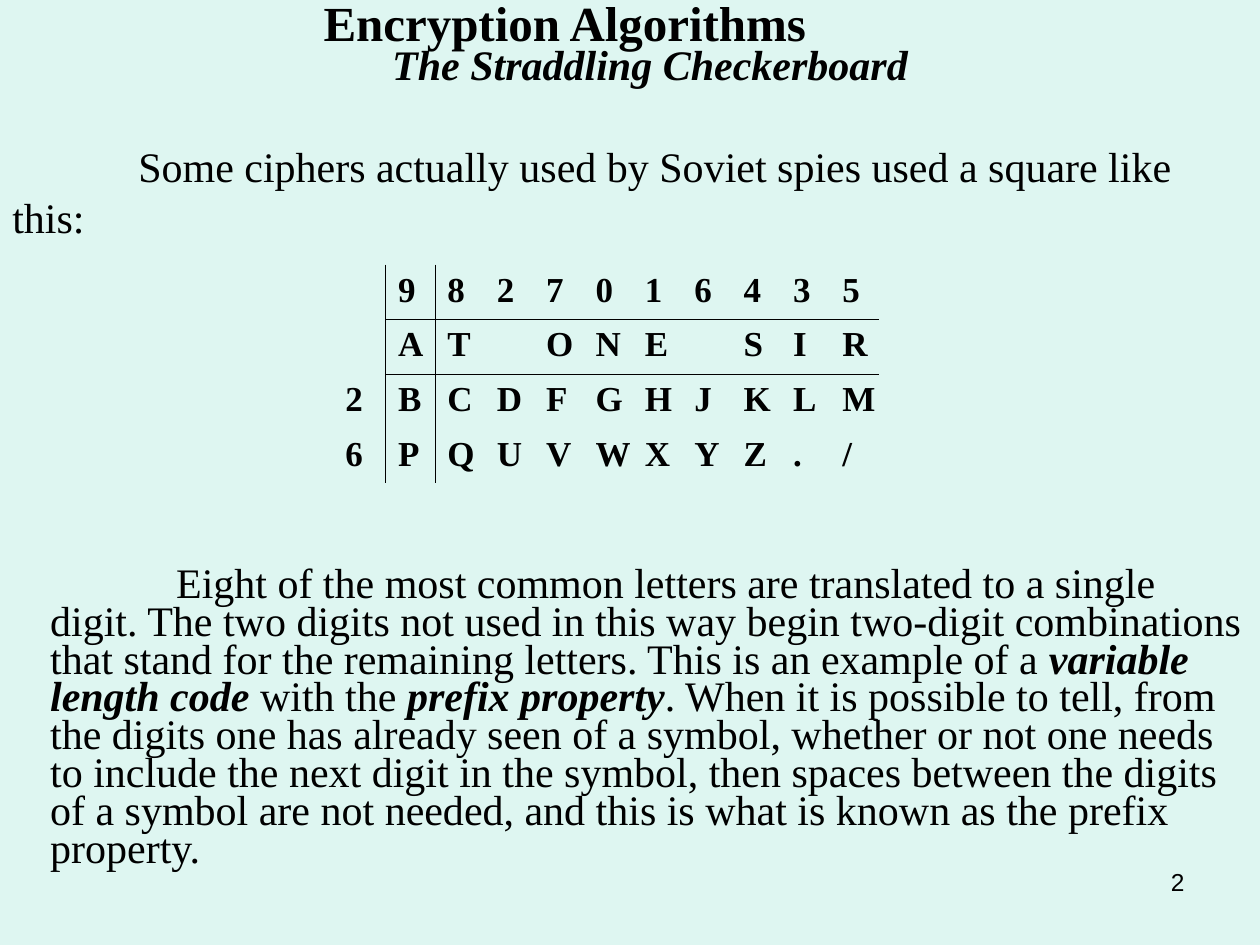
from pptx import Presentation
from pptx.dml.color import RGBColor
from pptx.enum.text import PP_ALIGN
from pptx.oxml import parse_xml
from pptx.oxml.ns import nsdecls, qn
from pptx.util import Inches, Pt

COLORS = {"background": "DEF6F1", "ink": "000000"}
SERIF, SANS = "Times New Roman", "Arial"
PLAIN_TABLE = "{2D5ABB26-0587-4C30-8999-92F81FD0307C}"
CHECKERBOARD = [
    ["", *"9827016435"],
    ["", *"AT ONE SIR"],
    ["2", *"BCDFGHJKLM"],
    ["6", *"PQUVWXYZ./"],
]
EXPLANATION = [
    ("Eight of the most common letters are translated to a single digit. The two digits "
     "not used in this way begin two-digit combinations that stand for the remaining "
     "letters. This is an example of a ", False),
    ("variable length code ", True),
    ("with the ", False),
    ("prefix property", True),
    (". When it is possible to tell, from the digits one has already seen of a symbol, "
     "whether or not one needs to include the next digit in the symbol, then spaces "
     "between the digits of a symbol are not needed, and this is what is known as the "
     "prefix property.", False),
]


class SlideBuilder:
    """Holds the style and the current slide, and adds each kind of element."""

    def __init__(self, page):
        self.page = page
        fill = page.background.fill
        fill.solid()
        fill.fore_color.rgb = RGBColor.from_string(COLORS["background"])

    def style(self, font, size, name=SERIF, bold=False, italic=False):
        font.name, font.size = name, Pt(size)
        font.bold, font.italic = bold, italic
        font.color.rgb = RGBColor.from_string(COLORS["ink"])

    def text_box(self, left, top, width, height):
        box = self.page.shapes.add_textbox(
            Inches(left), Inches(top), Inches(width), Inches(height))
        box.text_frame.word_wrap = True
        return box.text_frame

    def fill_paragraph(self, para, spans, size, name=SERIF, bold=False,
                       align=PP_ALIGN.LEFT, spacing=1.0, margin=0, indent=0):
        properties = para._p.get_or_add_pPr()
        properties.set("marL", str(Inches(margin)))
        properties.set("indent", str(Inches(indent)))
        para.alignment, para.line_spacing = align, spacing
        for text, emphasized in spans:
            span = para.add_run()
            span.text = text
            self.style(span.font, size, name, bold or emphasized, emphasized)

    def border(self, cell, sides):
        properties = cell._tc.get_or_add_tcPr()
        for position, side in enumerate(sides):
            properties.insert(position, parse_xml(
                f'<a:ln{side} {nsdecls("a")} w="{Pt(0.45)}"><a:solidFill>'
                f'<a:srgbClr val="{COLORS["ink"]}"/></a:solidFill></a:ln{side}>'))

    def checkerboard(self, rows, left, top, width, height, key_width):
        frame = self.page.shapes.add_table(
            len(rows), len(rows[0]), Inches(left), Inches(top),
            Inches(width), Inches(height))
        table = frame.table
        table.first_row = table.horz_banding = False
        for style_id in frame._element.iter(qn("a:tableStyleId")):
            style_id.text = PLAIN_TABLE
        letter_width = (width - key_width) / (len(rows[0]) - 1)
        for number, column in enumerate(table.columns):
            column.width = Inches(letter_width if number else key_width)
        for row_number, row in enumerate(rows):
            for column_number, text in enumerate(row):
                cell = table.cell(row_number, column_number)
                cell.fill.background()
                para = cell.text_frame.paragraphs[0]
                para.text = text.strip()
                self.style(para.font, 20, bold=True)
                for span in para.runs:
                    self.style(span.font, 20, bold=True)
                sides = {0: ["R"], 1: ["L"]}.get(column_number, [])
                if column_number and row_number < 2:
                    sides = sides + ["T" if row_number else "B"]
                self.border(cell, sides)


def main():
    deck = Presentation()
    deck.slide_width, deck.slide_height = Inches(10), Inches(7.5)
    builder = SlideBuilder(deck.slides.add_slide(deck.slide_layouts[6]))

    number = builder.text_box(7.17, 6.83, 2.33, 0.52)
    builder.fill_paragraph(number.paragraphs[0], [("2", False)], 14, SANS,
                           align=PP_ALIGN.RIGHT)

    intro = builder.text_box(0, 1.07, 10, 0.9)
    builder.fill_paragraph(intro.paragraphs[0], [
        ("Some ciphers actually used by Soviet spies used a square like this:", False),
    ], 24, indent=1)

    title = builder.text_box(2.16, 0, 6, 0.75)
    builder.fill_paragraph(title.paragraphs[0], [("Encryption Algorithms", False)], 28,
                           bold=True, spacing=0.75, margin=0.31)
    builder.fill_paragraph(title.add_paragraph(), [("The Straddling Checkerboard", True)],
                           24, align=PP_ALIGN.CENTER, spacing=0.75)

    builder.checkerboard(CHECKERBOARD, 2.64, 2.1, 4.34, 1.73, key_width=0.42)

    explanation = builder.text_box(0.3, 4.46, 9.7, 2.91)
    builder.fill_paragraph(explanation.paragraphs[0], EXPLANATION, 24,
                           spacing=0.75, indent=1)

    deck.save("out.pptx")


if __name__ == "__main__":
    main()
